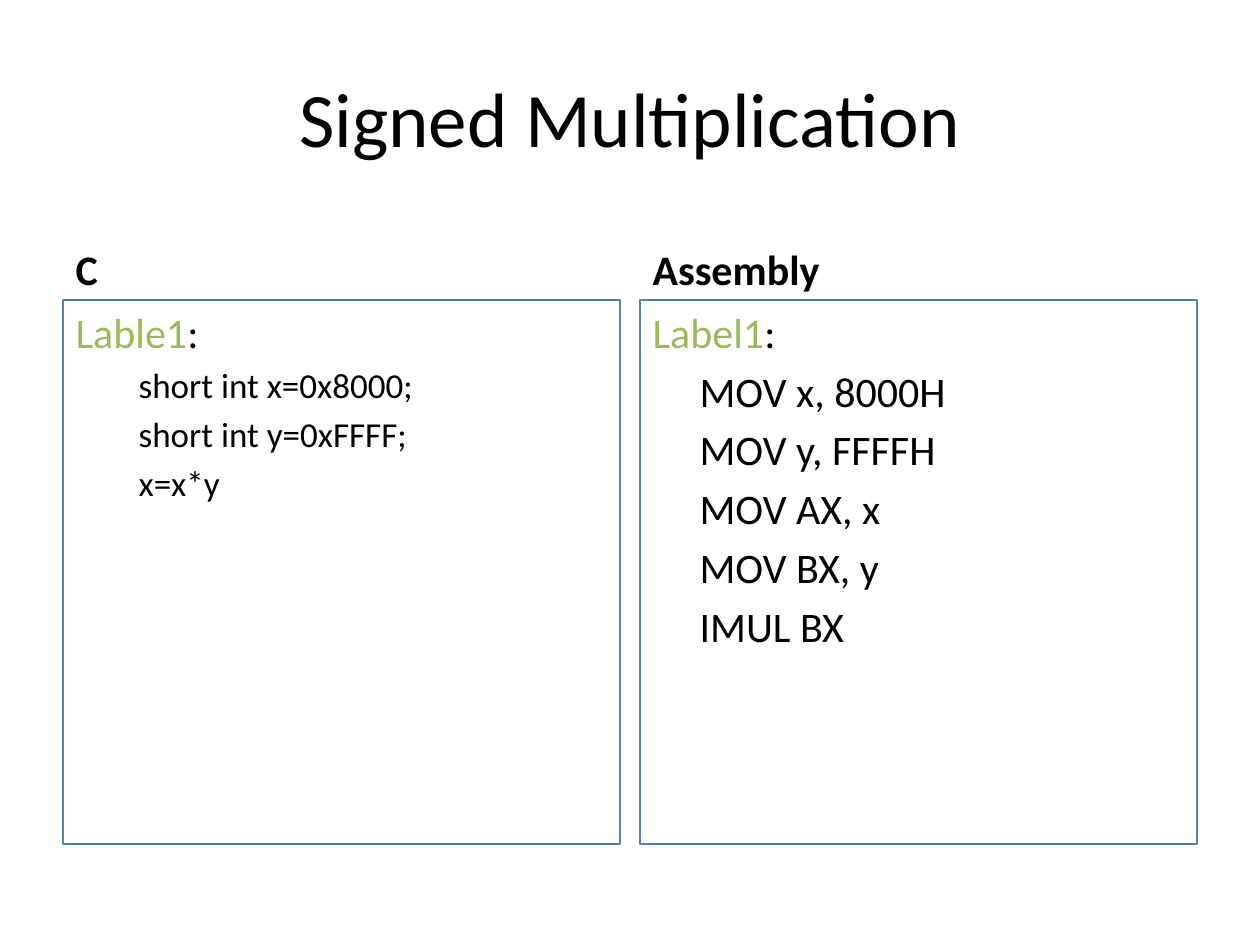
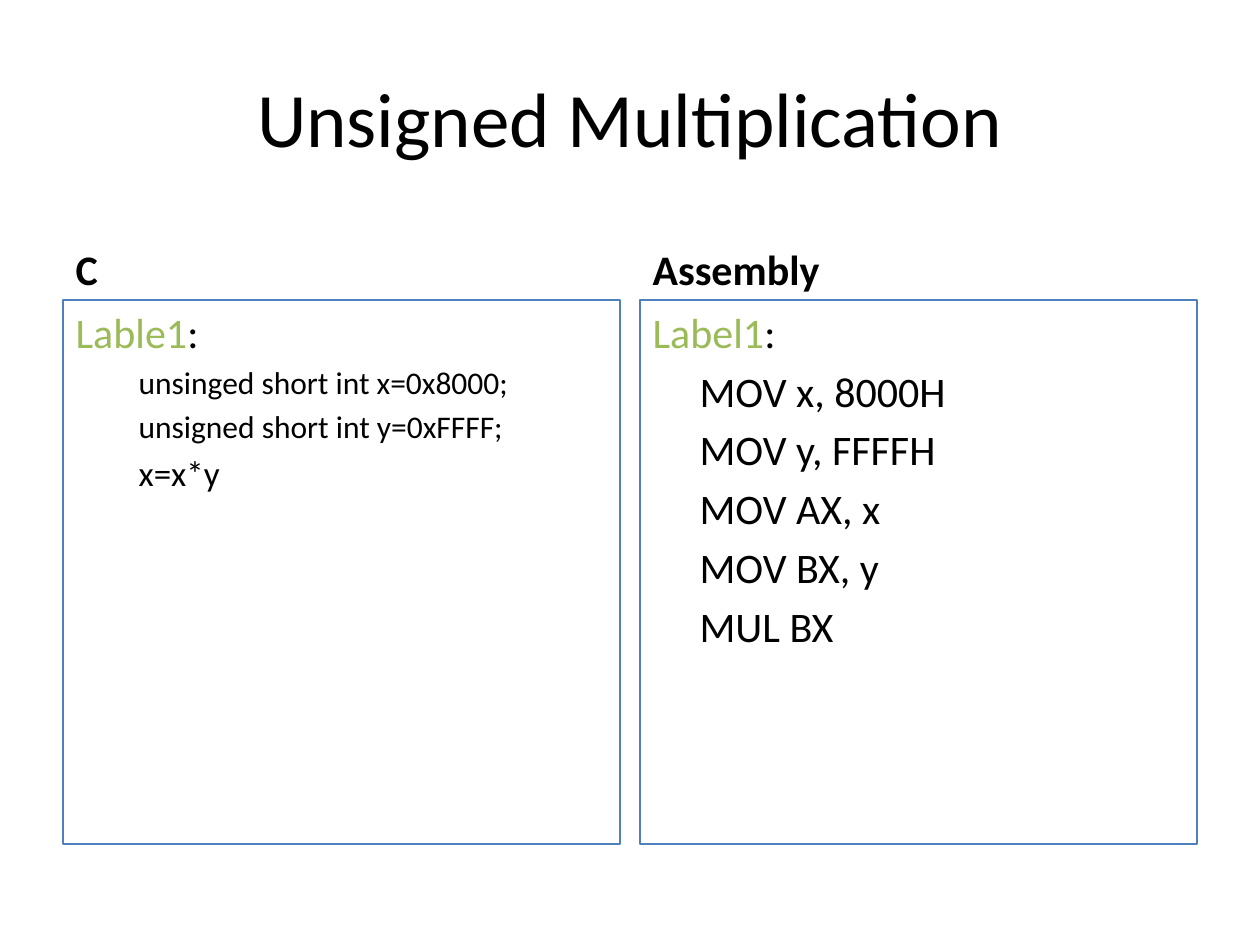
from dataclasses import dataclass

from lxml import etree
from pptx import Presentation
from pptx.dml.color import RGBColor
from pptx.enum.text import MSO_ANCHOR, MSO_AUTO_SIZE, PP_ALIGN
from pptx.oxml.ns import qn
from pptx.util import Emu, Pt

CENTER, LEFT = PP_ALIGN.CENTER, PP_ALIGN.LEFT
TOP, MIDDLE, BOTTOM = MSO_ANCHOR.TOP, MSO_ANCHOR.MIDDLE, MSO_ANCHOR.BOTTOM
NO_AUTOFIT = MSO_AUTO_SIZE.NONE
EMU_PER_PIXEL = 914400 / 126
COMPARISON_LAYOUT = 4


def px(length):
    return Emu(round(length * EMU_PER_PIXEL))


@dataclass(frozen=True)
class Theme:
    font: str = "Calibri"
    ink: RGBColor = RGBColor(0x00, 0x00, 0x00)
    label: RGBColor = RGBColor(0x9B, 0xBB, 0x59)
    border: RGBColor = RGBColor(0x4F, 0x81, 0xBD)
    title_size: int = 44
    body_size: int = 24
    code_size: int = 20
    small_code_size: int = 18
    border_width: float = 0.75


THEME = Theme()
PAGE_WIDTH, PAGE_HEIGHT = 1260, 945
MARGIN, GUTTER = 63, 20
CONTENT_WIDTH = PAGE_WIDTH - 2 * MARGIN
COLUMN_WIDTH = (CONTENT_WIDTH - GUTTER) // 2
TITLE_TOP, TITLE_HEIGHT = 38, 157
HEADING_TOP, HEADING_HEIGHT = 212, 88
CODE_TOP, CODE_HEIGHT = HEADING_TOP + HEADING_HEIGHT, 544
C_INDENT, ASSEMBLY_INDENT = 63, 47


class ComparisonDeck:
    def __init__(self, theme):
        self.theme = theme
        self.deck = Presentation()
        self.deck.slide_width = px(PAGE_WIDTH)
        self.deck.slide_height = px(PAGE_HEIGHT)
        self.page = None

    def add_page(self, title):
        layout = self.deck.slide_layouts[COMPARISON_LAYOUT]
        self.page = self.deck.slides.add_slide(layout)
        box = self.place(0, MARGIN, TITLE_TOP, CONTENT_WIDTH, TITLE_HEIGHT, MIDDLE)
        self.set_text(box.text_frame.paragraphs[0], [(title, self.theme.ink)],
                      self.theme.title_size, align=CENTER)

    def place(self, index, left, top, width, height, anchor):
        box = self.page.placeholders[index]
        box.left, box.top, box.width, box.height = map(px, (left, top, width, height))
        box.text_frame.word_wrap = True
        box.text_frame.auto_size = NO_AUTOFIT
        box.text_frame.vertical_anchor = anchor
        return box

    def set_text(self, paragraph, spans, size, bold=False, align=LEFT, level=0, indent=0):
        paragraph.level = level
        paragraph.alignment = align
        properties = paragraph._p.get_or_add_pPr()
        properties.set("marL", str(px(indent)))
        properties.set("indent", "0")
        etree.SubElement(properties, qn("a:buNone"))
        paragraph.font.name = self.theme.font
        paragraph.font.bold = bold
        for text, color in spans:
            span = paragraph.add_run()
            span.text = text
            span.font.size = Pt(size)
            span.font.color.rgb = color

    def add_column(self, column, heading, label, lines, level, indent):
        left = MARGIN + column * (COLUMN_WIDTH + GUTTER)
        index = 1 + 2 * column
        box = self.place(index, left, HEADING_TOP, COLUMN_WIDTH, HEADING_HEIGHT, BOTTOM)
        self.set_text(box.text_frame.paragraphs[0], [(heading, self.theme.ink)],
                      self.theme.body_size, bold=True)

        box = self.place(index + 1, left, CODE_TOP, COLUMN_WIDTH, CODE_HEIGHT, TOP)
        box.fill.background()
        box.line.color.rgb = self.theme.border
        box.line.width = Pt(self.theme.border_width)
        frame = box.text_frame
        self.set_text(frame.paragraphs[0],
                      [(label, self.theme.label), (":", self.theme.ink)],
                      self.theme.body_size)
        for text, size in lines:
            self.set_text(frame.add_paragraph(), [(text, self.theme.ink)], size,
                          level=level, indent=indent)

    def add_comparison(self, title, declarations, declaration_size, multiply):
        self.add_page(title)
        c_lines = [(text, declaration_size) for text in declarations]
        c_lines.append(("x=x*y", self.theme.code_size))
        self.add_column(0, "C", "Lable1", c_lines, 1, C_INDENT)
        instructions = ["MOV x, 8000H", "MOV y, FFFFH", "MOV AX, x", "MOV BX, y",
                        f"{multiply} BX"]
        assembly_lines = [(text, self.theme.body_size) for text in instructions]
        self.add_column(1, "Assembly", "Label1", assembly_lines, 0, ASSEMBLY_INDENT)


comparison = ComparisonDeck(THEME)
comparison.add_comparison(
    "Signed Multiplication",
    ["short int x=0x8000;", "short int y=0xFFFF;"],
    THEME.code_size, "IMUL")
comparison.add_comparison(
    "Unsigned Multiplication",
    ["unsinged short int x=0x8000;", "unsigned short int y=0xFFFF;"],
    THEME.small_code_size, "MUL")
comparison.deck.save("out.pptx")
